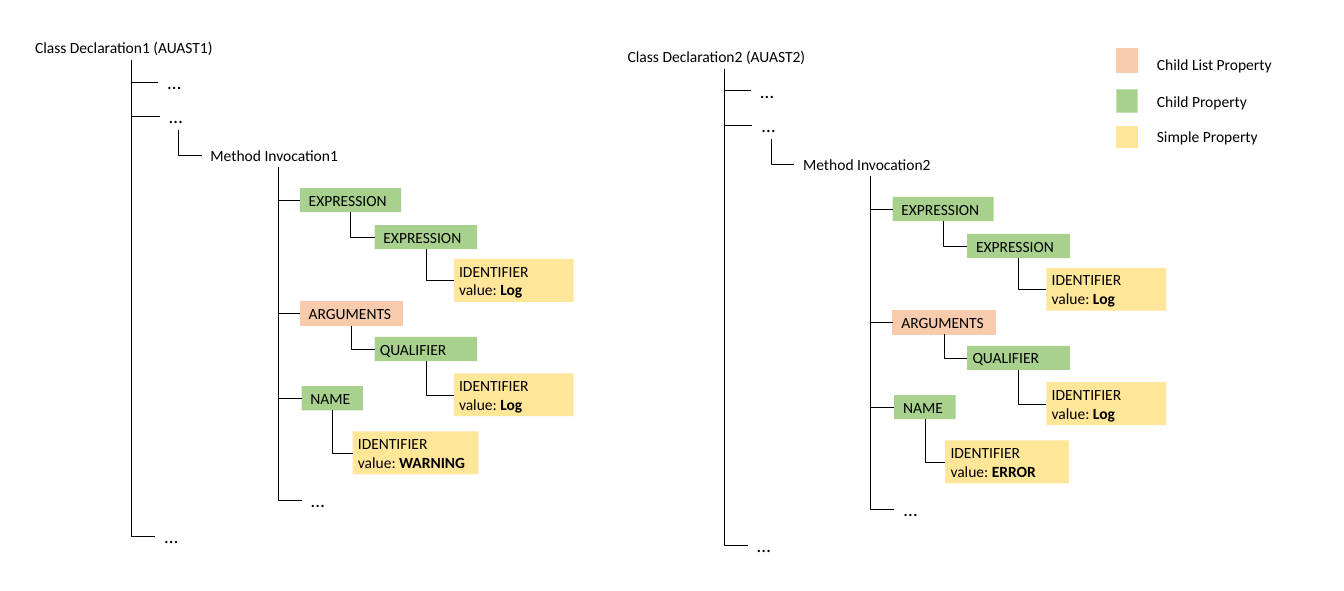
from lxml import etree
from pptx import Presentation
from pptx.dml.color import RGBColor
from pptx.enum.shapes import MSO_CONNECTOR, MSO_SHAPE
from pptx.enum.text import MSO_ANCHOR, MSO_AUTO_SIZE, PP_ALIGN
from pptx.oxml.ns import qn
from pptx.util import Cm, Pt

ELBOW = MSO_CONNECTOR.ELBOW
RECTANGLE = MSO_SHAPE.RECTANGLE
TOP = MSO_ANCHOR.TOP
GROW = MSO_AUTO_SIZE.SHAPE_TO_FIT_TEXT
LEFT = PP_ALIGN.LEFT

BLACK = RGBColor(0x00, 0x00, 0x00)
PEACH = RGBColor(0xF8, 0xCB, 0xAD)
GREEN = RGBColor(0xA9, 0xD1, 0x8E)
PALE_GREEN = RGBColor(0xC5, 0xE0, 0xB4)
YELLOW = RGBColor(0xFF, 0xE6, 0x99)

FONT = "Calibri"
LABEL_SIZE, DOTS_SIZE = Pt(20.8), Pt(25.9)
LABEL_HEIGHT, DOTS_HEIGHT, VALUE_HEIGHT = 1.14, 1.37, 2.03
BOTTOM_SITE, LEFT_SITE = 2, 1
DOTS = " …"

# Tree nodes: name, parent, text, left, top, width, fill (cm)
NODES = [
    ("class", None, " Class Declaration{number} (AUAST{number})", 1.24, 1.68, 9.91, None),
    ("first", "class", DOTS, 7.47, 3.18, 1.68, None),
    ("second", "class", DOTS, 7.54, 4.8, 1.78, None),
    ("last", "class", DOTS, 7.32, 24.66, 1.78, None),
    ("method", "second", " Method Invocation{number}", 9.53, 6.76, 7.19, None),
    ("expression", "method", " EXPRESSION", 14.17, 8.89, 4.78, GREEN),
    ("inner", "expression", " EXPRESSION", 17.7, 10.64, 4.85, GREEN),
    ("inner value", "inner", "IDENTIFIER\nvalue: Log", 21.44, 12.24, 5.66, YELLOW),
    ("arguments", "method", " ARGUMENTS", 14.17, 14.25, 4.85, PEACH),
    ("qualifier", "arguments", "QUALIFIER", 17.7, 15.93, 4.85, GREEN),
    ("qualifier value", "qualifier", "IDENTIFIER\nvalue: Log", 21.44, 17.65, 5.66, YELLOW),
    ("name", "method", " NAME", 14.25, 18.26, 2.9, GREEN),
    ("name value", "name", "IDENTIFIER\nvalue: {level}", 16.66, 20.4, None, YELLOW),
    ("rest", "method", DOTS, 14.25, 22.96, 1.91, None),
]

# Trees: number, level, width of the level box, shift right, shift down (cm)
TREES = [
    (1, "WARNING", 5.94, 0, 0),
    (2, "ERROR", 5.84, 28, 0.42),
]

# Legend: label, label top, swatch top, swatch height, fill, outline (cm)
LEGEND = [
    ("Child List Property", 2.46, 2.31, 1.09, PEACH, PEACH),
    ("Child Property", 4.22, 4.22, 1.09, GREEN, PALE_GREEN),
    ("Simple Property", 5.89, 5.99, 0.99, YELLOW, YELLOW),
]


def write_text(box, text):
    frame = box.text_frame
    frame.text = text
    frame.word_wrap = True
    frame.auto_size = GROW
    frame.vertical_anchor = TOP
    for para in frame.paragraphs:
        para.alignment = LEFT
        prefix, colon, value = para.text.partition(": ")
        if colon:
            para.text = prefix + colon
            span = para.add_run()
            span.text = value
            span.font.bold = True
        for span in para.runs:
            span.font.name = FONT
            span.font.size = DOTS_SIZE if text == DOTS else LABEL_SIZE
            span.font.color.rgb = BLACK


def add_box(slide, left, top, width, height, fill, outline=None, weight=1):
    box = slide.shapes.add_shape(RECTANGLE, Cm(left), Cm(top), Cm(width), Cm(height))
    box.shadow.inherit = False
    box.fill.solid()
    box.fill.fore_color.rgb = fill
    if outline is None:
        box.line.fill.background()
    else:
        box.line.color.rgb = outline
        box.line.width = Pt(weight)
    return box


def add_label(slide, text, left, top, width, height):
    box = slide.shapes.add_textbox(Cm(left), Cm(top), Cm(width), Cm(height))
    write_text(box, text)
    return box


def add_branch(slide, parent, child):
    """Run a line down from the parent's bottom, then right to the child."""
    start_x, start_y = parent.left + parent.width // 2, parent.top + parent.height
    end_x, end_y = child.left, child.top + child.height // 2
    across, down = end_x - start_x, end_y - start_y
    branch = slide.shapes.add_connector(ELBOW, start_x, start_y, end_x, end_y)
    branch.begin_connect(parent, BOTTOM_SITE)
    branch.end_connect(child, LEFT_SITE)
    branch.line.color.rgb = BLACK
    branch.line.width = Pt(0.5)

    # A one-bend connector is stored turned by 270 degrees and flipped
    branch.left = (start_x + end_x - down) // 2
    branch.top = (start_y + end_y - across) // 2
    branch.width, branch.height = down, across
    properties = branch._element.spPr
    frame = properties.find(qn("a:xfrm"))
    frame.set("rot", "16200000")
    frame.set("flipH", "1")
    properties.find(qn("a:prstGeom")).set("prst", "bentConnector2")
    etree.SubElement(properties, qn("a:effectLst"))


def add_tree(slide, number, level, level_width, shift_x, shift_y):
    boxes = {}
    for name, parent, pattern, left, top, width, fill in NODES:
        text = pattern.format(number=number, level=level)
        place = (left + shift_x, top + shift_y, width or level_width)
        if fill is None:
            height = DOTS_HEIGHT if text == DOTS else LABEL_HEIGHT
            boxes[name] = add_label(slide, text, *place, height)
        else:
            height = VALUE_HEIGHT if fill == YELLOW else LABEL_HEIGHT
            outline = PEACH if fill == PEACH else None
            boxes[name] = add_box(slide, *place, height, fill, outline, 0.75)
            write_text(boxes[name], text)
        if parent:
            add_branch(slide, boxes[parent], boxes[name])


def add_legend(slide):
    for label, label_top, top, height, fill, outline in LEGEND:
        add_box(slide, 52.73, top, 1.02, height, fill, outline)
        add_label(slide, label, 54.41, label_top, 6.48, LABEL_HEIGHT)


def main():
    deck = Presentation()
    deck.slide_width, deck.slide_height = Cm(63.5), Cm(27.94)
    slide = deck.slides.add_slide(deck.slide_layouts.get_by_name("Blank"))
    for tree in TREES:
        add_tree(slide, *tree)
    add_legend(slide)
    deck.save("out.pptx")


if __name__ == "__main__":
    main()
